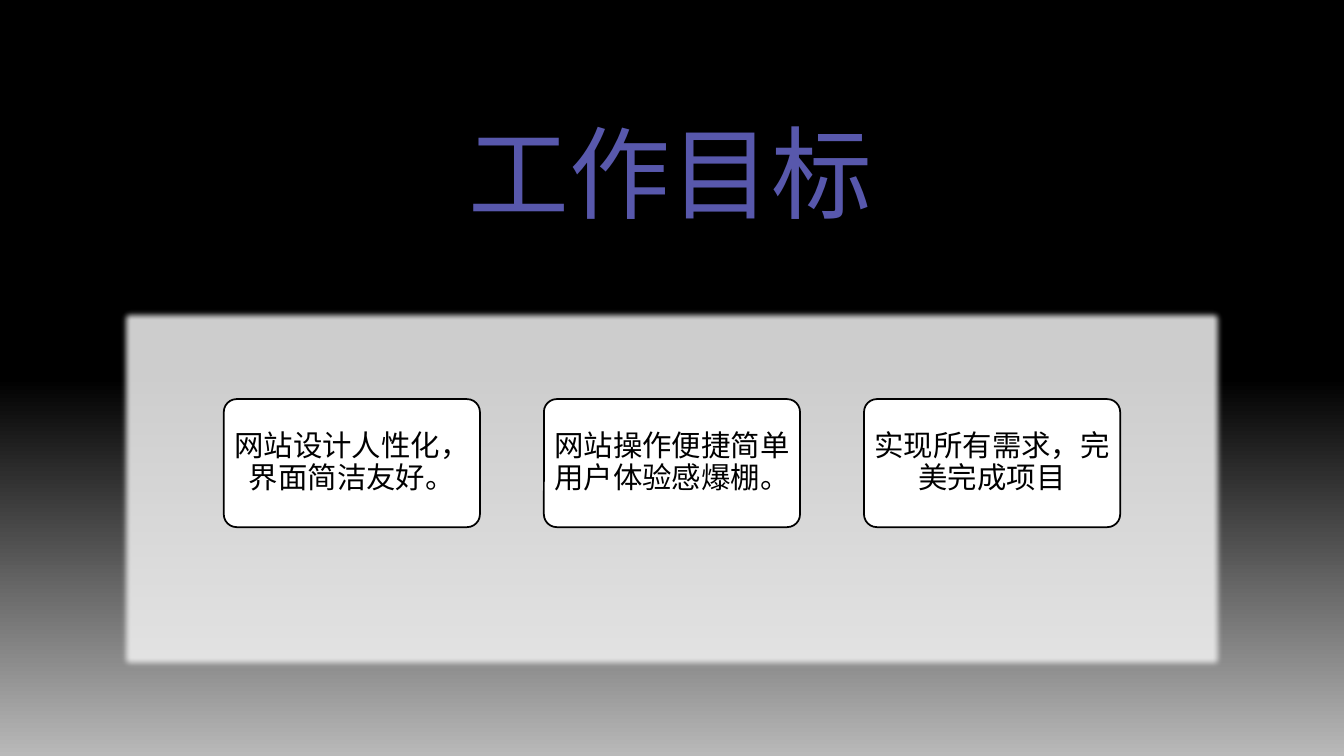
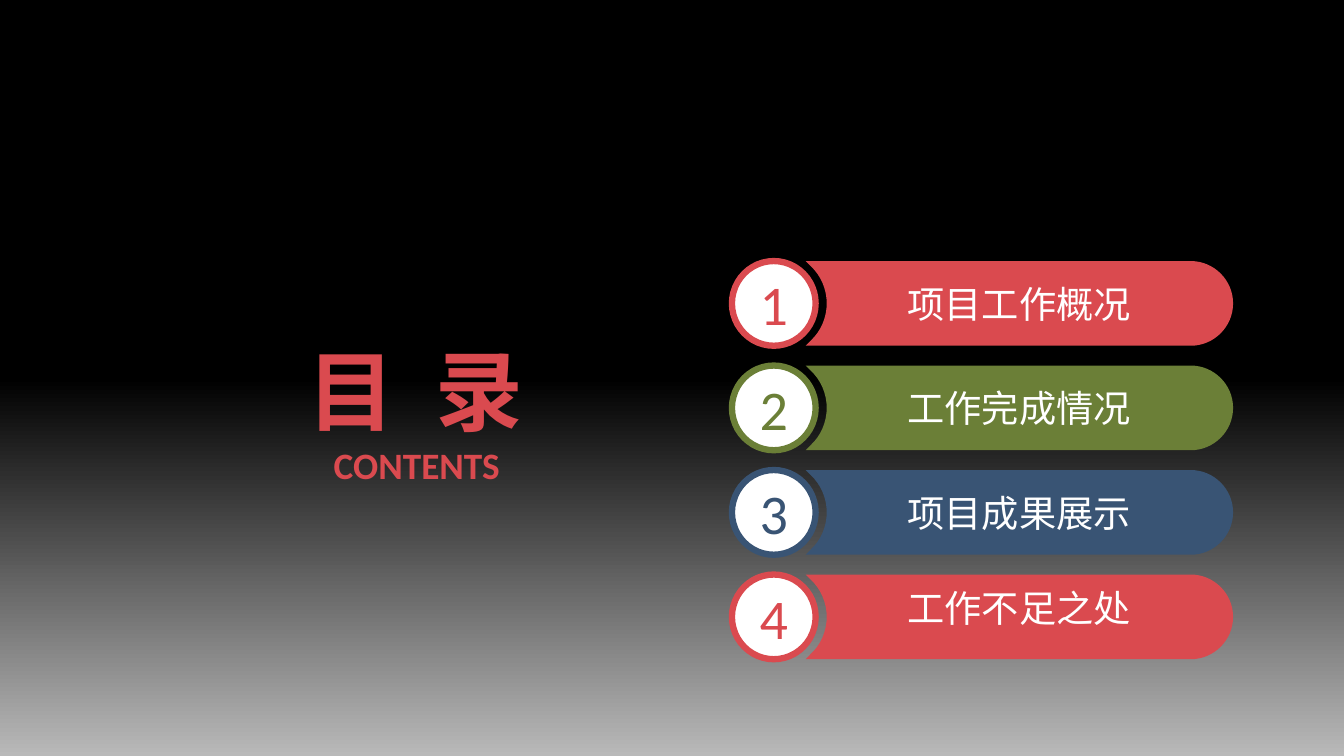
from dataclasses import dataclass

from lxml import etree
from pptx import Presentation
from pptx.dml.color import RGBColor
from pptx.enum.shapes import MSO_SHAPE
from pptx.enum.text import MSO_ANCHOR, MSO_AUTO_SIZE, PP_ALIGN
from pptx.oxml.ns import qn
from pptx.util import Inches, Pt

RECTANGLE = MSO_SHAPE.RECTANGLE
ROUNDED_RECTANGLE = MSO_SHAPE.ROUNDED_RECTANGLE
OVAL = MSO_SHAPE.OVAL
CENTER = PP_ALIGN.CENTER
LEFT = PP_ALIGN.LEFT
MIDDLE = MSO_ANCHOR.MIDDLE
TOP = MSO_ANCHOR.TOP
GROW = MSO_AUTO_SIZE.SHAPE_TO_FIT_TEXT


@dataclass(frozen=True)
class Theme:
    """Colours, fonts and type sizes shared by the slides."""

    black: str = "000000"
    white: str = "FFFFFF"
    silver: str = "B9B9B9"
    mist: str = "F2F2F2"
    violet: str = "5858AC"
    red: str = "DA4A4F"
    green: str = "6B7F37"
    blue: str = "395474"
    title_font: str = "Noto Sans CJK SC"
    card_font: str = "Arial"
    body_font: str = "Calibri"
    title_size: float = 72
    contents_size: float = 62.6
    number_size: float = 40
    label_size: float = 26.6
    card_size: float = 21


THEME = Theme()
GOALS = (
    "网站设计人性化，界面简洁友好。",
    "网站操作便捷简单用户体验感爆棚。",
    "实现所有需求，完美完成项目",
)
CONTENTS = (
    ("项目工作概况", THEME.red, 0),
    ("工作完成情况", THEME.green, 0),
    ("项目成果展示", THEME.blue, 0),
    ("工作不足之处", THEME.red, 0.19),
)


def set_attributes(target, values):
    """Set every attribute named in a dict of format values."""
    for name, value in values.items():
        setattr(target, name, value)


def write_text(shape, text, size, color, font, bold=False, anchor=MIDDLE, align=CENTER,
               insets=(0, 0, 0, 0), line_spacing=None, wrap=True, gap=0):
    """Write one paragraph, with letter gap after all but its last character."""
    left, top, right, bottom = (Inches(inset) for inset in insets)
    set_attributes(shape.text_frame, {
        "word_wrap": wrap, "vertical_anchor": anchor, "margin_left": left,
        "margin_top": top, "margin_right": right, "margin_bottom": bottom,
    })
    paragraph = shape.text_frame.paragraphs[0]
    set_attributes(paragraph, {"alignment": align, "line_spacing": line_spacing})
    pieces = [(text[:-1], gap), (text[-1], 0)] if gap else [(text, 0)]
    for piece, spacing in pieces:
        run = paragraph.add_run()
        run.text = piece
        set_attributes(run.font, {"size": Pt(size), "name": font, "bold": bold})
        run.font.color.rgb = RGBColor.from_string(color)
        if spacing:
            run.font._element.set("spc", str(spacing * 100))


def paint(shape, fill, line=None, width=0):
    """Give a shape a flat fill, an optional outline and no shadow."""
    shape.shadow.inherit = False
    shape.fill.solid()
    shape.fill.fore_color.rgb = RGBColor.from_string(fill)
    if line:
        shape.line.color.rgb = RGBColor.from_string(line)
        shape.line.width = Pt(width)
    else:
        shape.line.fill.background()


def add_box(slide, kind, box, fill, line=None, width=0):
    """Add a painted preset shape in a box given in inches."""
    shape = slide.shapes.add_shape(kind, *(Inches(length) for length in box))
    paint(shape, fill, line, width)
    return shape


def add_label(slide, box, text, size, color, font, **options):
    """Add a text box that grows with its text."""
    label = slide.shapes.add_textbox(*(Inches(length) for length in box))
    write_text(label, text, size, color, font, **options)
    label.text_frame.auto_size = GROW


def add_slide(presentation):
    """Add a blank slide with the shared gradient background."""
    slide = presentation.slides.add_slide(presentation.slide_layouts[6])
    fill = slide.background.fill
    fill.gradient()
    fill.gradient_angle = 270
    stops = ((0.5, THEME.black), (1, THEME.silver))
    for stop, (position, color) in zip(fill.gradient_stops, stops):
        stop.position = position
        stop.color.rgb = RGBColor.from_string(color)
    return slide


def add_panel(slide, box):
    """Add a translucent panel with soft edges."""
    panel = add_box(slide, RECTANGLE, box, THEME.mist)
    properties = panel._element.spPr
    color = properties.find(qn("a:solidFill")).find(qn("a:srgbClr"))
    etree.SubElement(color, qn("a:alpha")).set("val", "85000")
    effects = properties.find(qn("a:effectLst"))
    etree.SubElement(effects, qn("a:softEdge")).set("rad", str(Pt(5)))


def add_goal_cards(slide, box):
    """Spread the goal cards across a box with equal gaps."""
    left, top, width, height = box
    card_width = 2.54
    pitch = (width - card_width) / (len(GOALS) - 1)
    for index, goal in enumerate(GOALS):
        card_box = (left + index * pitch, top, card_width, height)
        card = add_box(slide, ROUNDED_RECTANGLE, card_box, THEME.white, THEME.black, 1.25)
        card.adjustments[0] = 0.1
        write_text(card, goal, THEME.card_size, THEME.black, THEME.card_font,
                   insets=(0.04, 0.03, 0.04, 0.03), line_spacing=0.9)


def add_outline(slide, start, segments):
    """Add a closed outline whose one-point segments are lines and three-point ones curves."""
    points = [(Inches(x), Inches(y)) for segment in segments for x, y in segment]
    builder = slide.shapes.build_freeform(*(Inches(length) for length in start))
    builder.add_line_segments(points, close=True)
    shape = builder.convert_to_shape()
    lines = iter(list(shape._element.iter(qn("a:lnTo"))))
    for segment in segments:
        parts = [next(lines) for _ in segment]
        if len(parts) == 3:
            curve = etree.Element(qn("a:cubicBezTo"))
            parts[0].addprevious(curve)
            for part in parts:
                curve.append(part[0])
                part.getparent().remove(part)
    return shape


def add_notched_bar(slide, box):
    """Add a bar with a round right end and a concave left end."""
    left, top, width, height = box
    right, bottom = left + width, top + height
    half = height / 2
    middle = top + half
    bend = 0.55 * half
    shoulder = right - half
    notch = left + 0.21
    corner = 0.05
    return add_outline(slide, (left, top), [
        [(shoulder, top)],
        [(shoulder + bend, top), (right, middle - bend), (right, middle)],
        [(right, middle + bend), (shoulder + bend, bottom), (shoulder, bottom)],
        [(left, bottom)],
        [(left + corner, bottom - corner)],
        [(left + 0.15, bottom - 0.14), (notch, middle + 0.14), (notch, middle)],
        [(notch, middle - 0.14), (left + 0.15, top + 0.14), (left + corner, top + corner)],
    ])


def add_contents_row(slide, box, number, text, color, bottom_inset):
    """Add a numbered circle beside a notched bar."""
    left, top, width, height = box
    circle_width, bar_offset = 0.83, 0.73
    bar = add_notched_bar(slide, (left + bar_offset, top, width - bar_offset, height))
    paint(bar, color)
    write_text(bar, text, THEME.label_size, THEME.white, THEME.body_font,
               insets=(0, 0, 0, bottom_inset))
    circle = add_box(slide, OVAL, (left, top, circle_width, height), THEME.white, color, 4.5)
    write_text(circle, str(number), THEME.number_size, color, THEME.body_font)


def add_contents_list(slide, box):
    """Stack the contents rows at an even pitch."""
    left, top, width, height = box
    row_height = 0.84
    pitch = (height - row_height) / (len(CONTENTS) - 1)
    for index, (text, color, bottom_inset) in enumerate(CONTENTS):
        row_box = (left, top + index * pitch, width, row_height)
        add_contents_row(slide, row_box, index + 1, text, color, bottom_inset)


def add_contents_heading(slide, box):
    """Add the contents heading above its English caption."""
    left, top, width, height = box
    heading_height, caption_indent = 1.05, 0.03
    add_label(slide, (left, top, width, heading_height), "目 录", THEME.contents_size,
              THEME.red, THEME.body_font, bold=True, gap=7)
    caption_box = (left + caption_indent, top + heading_height,
                   width - caption_indent, height - heading_height)
    add_label(slide, caption_box, "CONTENTS", THEME.label_size, THEME.red,
              THEME.body_font, bold=True, anchor=TOP)


def build_goals_slide(presentation):
    """Build the slide of work goals."""
    slide = add_slide(presentation)
    add_label(slide, (4.55, 1.04, 4.24, 1.31), "工作目标", THEME.title_size,
              THEME.violet, THEME.title_font, wrap=False, align=LEFT,
              insets=(0.1, 0.05, 0.1, 0.05))
    add_panel(slide, (1.18, 3.05, 10.98, 3.6))
    add_goal_cards(slide, (2.22, 3.96, 8.89, 1.27))


def build_contents_slide(presentation):
    """Build the contents slide."""
    slide = add_slide(presentation)
    add_contents_list(slide, (7.26, 2.59, 4.97, 3.95))
    add_contents_heading(slide, (2.63, 3.34, 2.98, 1.5))


def main():
    """Build and save the presentation."""
    presentation = Presentation()
    set_attributes(presentation, {"slide_width": Inches(13.33), "slide_height": Inches(7.5)})
    build_goals_slide(presentation)
    build_contents_slide(presentation)
    presentation.save("out.pptx")


if __name__ == "__main__":
    main()
